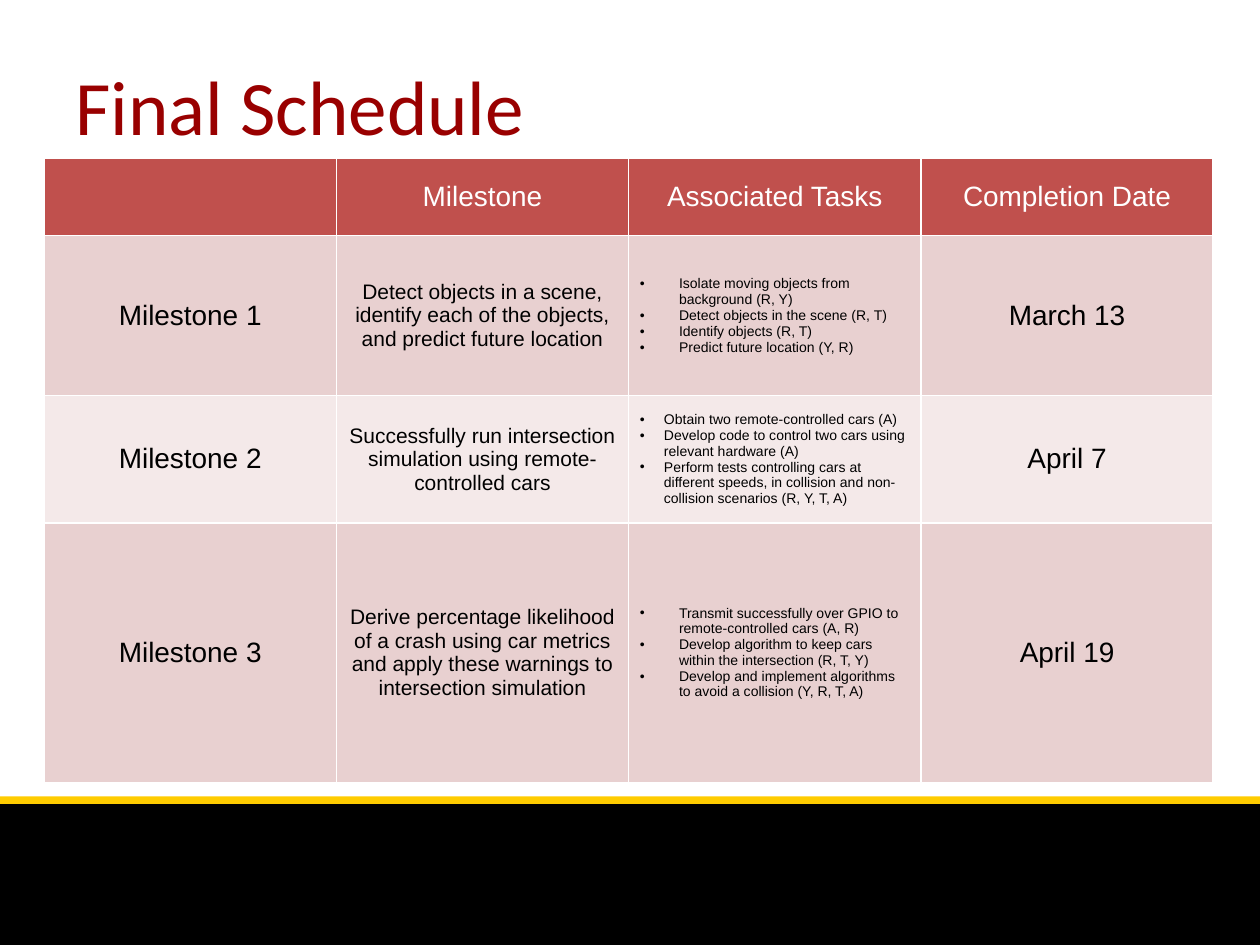
from lxml import etree
from pptx import Presentation
from pptx import util as u
from pptx.dml.color import RGBColor
from pptx.enum import shapes, text
from pptx.oxml.ns import qn

WHITE = RGBColor(0xFF, 0xFF, 0xFF)
BLACK = RGBColor(0, 0, 0)
GOLD = RGBColor(0xFF, 0xCC, 0)
MAROON = RGBColor(0x99, 0, 0)
RED = RGBColor(0xC0, 0x50, 0x4D)
BANDS = [RGBColor(0xF4, 0xE9, 0xE9), RGBColor(0xE8, 0xD0, 0xD0)]

TITLE = "Final Schedule"
HEAD = ["", "Milestone", "Associated Tasks", "Completion Date"]
GOALS = [
    ("Milestone 1",
     "Detect objects in a scene, identify each of the objects, and predict future location",
     ["Isolate moving objects from background (R, Y)",
      "Detect objects in the scene (R, T)",
      "Identify objects (R, T)",
      "Predict future location (Y, R)"],
     "March 13"),
    ("Milestone 2",
     "Successfully run intersection simulation using remote-controlled cars",
     ["Obtain two remote-controlled cars (A)",
      "Develop code to control two cars using relevant hardware (A)",
      "Perform tests controlling cars at different speeds, in collision and "
      "non-collision scenarios (R, Y, T, A)"],
     "April 7"),
    ("Milestone 3",
     "Derive percentage likelihood of a crash using car metrics and apply these "
     "warnings to intersection simulation",
     ["Transmit successfully over GPIO to remote-controlled cars (A, R)",
      "Develop algorithm to keep cars within the intersection (R, T, Y)",
      "Develop and implement algorithms to avoid a collision (Y, R, T, A)"],
     "April 19"),
]
SIZES = [16, 12, 8, 16]
INDENTS = [0, 0.31, 0.19, 0.31]
HEIGHTS = [0.61, 1.27, 1.01, 2.06]
TABLE_W = 9.28


def add_bar(slide, top, high, color):
    bar = slide.shapes.add_shape(shapes.MSO_SHAPE.RECTANGLE, 0, u.Inches(top),
                                 u.Inches(10), u.Inches(high))
    bar.shadow.inherit = False
    bar.fill.solid()
    bar.fill.fore_color.rgb = color
    bar.line.fill.background()


def add_bullet(para, indent):
    props = para._p.get_or_add_pPr()
    props.set("marL", str(u.Inches(indent)))
    props.set("indent", str(-u.Inches(indent)))
    etree.SubElement(props, qn("a:buFont")).set("typeface", "Arial")
    etree.SubElement(props, qn("a:buChar")).set("char", "•")


def set_font(para, name, size, color):
    para.font.name = name
    para.font.size = u.Pt(size)
    para.font.bold = False
    para.font.color.rgb = color


def fill_cell(cell, value, size, color, back, indent):
    cell.fill.solid()
    cell.fill.fore_color.rgb = back
    cell.vertical_anchor = text.MSO_ANCHOR.MIDDLE
    cell.margin_left = cell.margin_right = u.Inches(0.09)
    cell.margin_top = cell.margin_bottom = u.Inches(0.04)
    tasks = isinstance(value, list)
    cell.text_frame.text = "\n".join(value) if tasks else value
    for para in cell.text_frame.paragraphs:
        if tasks:
            add_bullet(para, indent)
        else:
            para.alignment = text.PP_ALIGN.CENTER
        set_font(para, "Arial", size, color)


def add_plan(slide):
    rows = [HEAD, *GOALS]
    table = slide.shapes.add_table(
        len(rows), len(HEAD), u.Inches(0.35), u.Inches(1.26),
        u.Inches(TABLE_W), u.Inches(sum(HEIGHTS))).table
    for col in table.columns:
        col.width = u.Inches(TABLE_W / len(HEAD))
    for r, row in enumerate(rows):
        table.rows[r].height = u.Inches(HEIGHTS[r])
        for c, value in enumerate(row):
            size = SIZES[c] if r else 16
            color = BLACK if r else WHITE
            back = BANDS[r % 2] if r else RED
            fill_cell(table.cell(r, c), value, size, color, back, INDENTS[r])


def add_title(slide):
    box = slide.shapes.add_textbox(u.Inches(0.5), u.Inches(0.4),
                                   u.Inches(4.6), u.Inches(0.87))
    frame = box.text_frame
    frame.word_wrap = True
    frame.vertical_anchor = text.MSO_ANCHOR.MIDDLE
    frame.text = TITLE
    set_font(frame.paragraphs[0], "Calibri", 44, MAROON)


def main():
    deck = Presentation()
    deck.slide_width, deck.slide_height = u.Inches(10), u.Inches(7.5)
    slide = deck.slides.add_slide(deck.slide_layouts[6])
    add_bar(slide, 6.35, 1.15, BLACK)
    add_bar(slide, 6.32, 0.06, GOLD)
    add_plan(slide)
    add_title(slide)
    deck.save("out.pptx")


if __name__ == "__main__":
    main()
